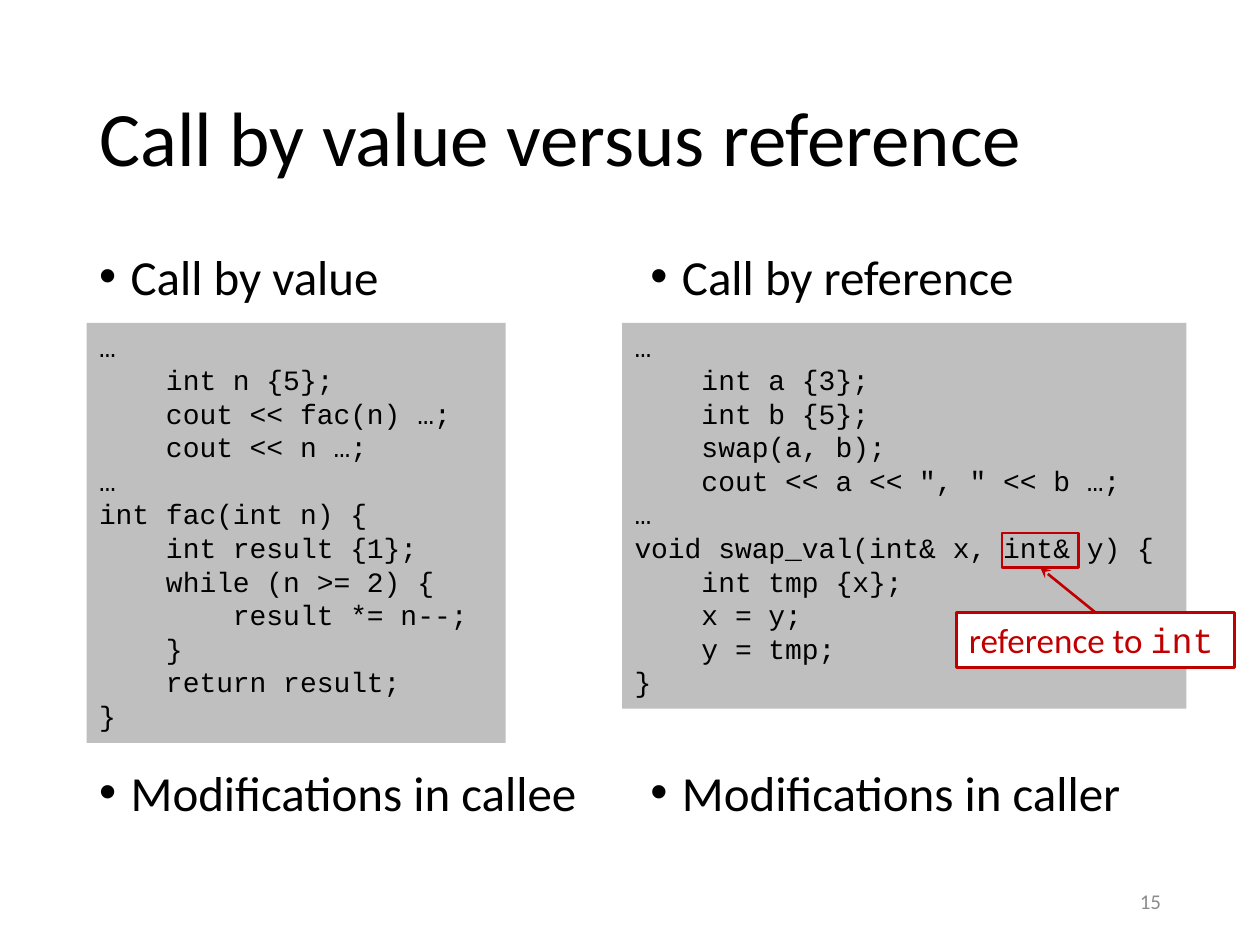
from dataclasses import dataclass

from pptx import Presentation
from pptx.dml.color import RGBColor
from pptx.enum.shapes import MSO_CONNECTOR, MSO_SHAPE
from pptx.enum.text import MSO_ANCHOR, MSO_AUTO_SIZE, PP_ALIGN
from pptx.oxml.ns import qn
from pptx.util import Pt
from lxml.etree import SubElement


@dataclass(frozen=True)
class Theme:
    ink: RGBColor = RGBColor(0x00, 0x00, 0x00)
    paper: RGBColor = RGBColor(0xFF, 0xFF, 0xFF)
    code_fill: RGBColor = RGBColor(0xBF, 0xBF, 0xBF)
    accent: RGBColor = RGBColor(0xC0, 0x00, 0x00)
    muted: RGBColor = RGBColor(0x8C, 0x8C, 0x8C)
    text_font: str = "Calibri"
    code_font: str = "Courier New"
    title_size: int = 44
    body_size: int = 28
    callout_size: int = 20
    code_size: int = 16
    number_size: int = 12
    outline: float = 1.5


@dataclass(frozen=True)
class Box:
    left: float
    top: float
    width: float
    height: float

    def points(self):
        return Pt(self.left), Pt(self.top), Pt(self.width), Pt(self.height)


THEME = Theme()

VALUE_CODE = """…
    int n {5};
    cout << fac(n) …;
    cout << n …;
…
int fac(int n) {
    int result {1};
    while (n >= 2) {
        result *= n--;
    }
    return result;
}"""

REFERENCE_CODE = """…
    int a {3};
    int b {5};
    swap(a, b);
    cout << a << ", " << b …;
…
void swap_val(int& x, int& y) {
    int tmp {x};
    x = y;
    y = tmp;
}"""


def style(font, size, color, name=THEME.text_font):
    font.name, font.size, font.color.rgb = name, Pt(size), color


def place(holder, box):
    holder.left, holder.top, holder.width, holder.height = box.points()
    holder.text_frame.auto_size = MSO_AUTO_SIZE.NONE


def add_title(slide, box, wording):
    title = slide.shapes.title
    place(title, box)
    title.text_frame.text = wording
    title.text_frame.vertical_anchor = MSO_ANCHOR.MIDDLE
    heading = title.text_frame.paragraphs[0]
    heading.alignment = PP_ALIGN.LEFT
    heading.line_spacing = 0.9
    style(heading.runs[0].font, THEME.title_size, THEME.ink)


def add_points(holder, box, points, gap):
    """Bulleted statements, with a gap between them for the code."""
    place(holder, box)
    holder.text_frame.text = "\n".join(points)
    for index, point in enumerate(holder.text_frame.paragraphs):
        point.line_spacing = 0.8
        point.space_before = Pt(gap if index else 0)
        properties = point._p.get_or_add_pPr()
        properties.set("marL", str(Pt(18)))
        properties.set("indent", str(Pt(-18)))
        SubElement(properties, qn("a:buFont")).set("typeface", "Arial")
        SubElement(properties, qn("a:buChar")).set("char", "•")
        style(point.runs[0].font, THEME.body_size, THEME.ink)


def add_panel(slide, box, fill=None, outline=None):
    panel = slide.shapes.add_shape(MSO_SHAPE.RECTANGLE, *box.points())
    panel.shadow.inherit = False
    if fill is None:
        panel.fill.background()
    else:
        panel.fill.solid()
        panel.fill.fore_color.rgb = fill
    if outline is None:
        panel.line.fill.background()
    else:
        panel.line.color.rgb = outline
        panel.line.width = Pt(THEME.outline)
    panel.text_frame.word_wrap = True
    panel.text_frame.vertical_anchor = MSO_ANCHOR.TOP
    return panel


def add_code(slide, box, code):
    listing = add_panel(slide, box, fill=THEME.code_fill)
    listing.text_frame.text = code
    for line in listing.text_frame.paragraphs:
        line.alignment = PP_ALIGN.LEFT
        style(line.runs[0].font, THEME.code_size, THEME.ink, THEME.code_font)


def add_callout(slide, box):
    """Frame around a parameter type, with its label below right."""
    frame = add_panel(slide, Box(box.left, box.top, 44, 20),
                      outline=THEME.accent)
    label = add_panel(
        slide, Box(box.left + box.width - 159, box.top + box.height - 31.5,
                   159, 31.5),
        fill=THEME.paper, outline=THEME.accent)
    wording = label.text_frame.paragraphs[0]
    wording.alignment = PP_ALIGN.LEFT
    for part, font in (("reference to ", THEME.text_font),
                       ("int", THEME.code_font)):
        run = wording.add_run()
        run.text = part
        style(run.font, THEME.callout_size, THEME.accent, font)

    arrow = slide.shapes.add_connector(MSO_CONNECTOR.STRAIGHT, 0, 0, 0, 0)
    arrow.begin_connect(label, 0)
    arrow.end_connect(frame, 2)
    arrow.line.color.rgb = THEME.accent
    arrow.line.width = Pt(THEME.outline)
    SubElement(arrow.line._get_or_add_ln(), qn("a:tailEnd")).set("type", "stealth")
    SubElement(arrow._element.spPr, qn("a:effectLst"))


def add_number(slide, box, number):
    holder = slide.shapes.add_textbox(*box.points())
    holder.text_frame.word_wrap = True
    holder.text_frame.vertical_anchor = MSO_ANCHOR.MIDDLE
    holder.text_frame.text = number
    page = holder.text_frame.paragraphs[0]
    page.alignment = PP_ALIGN.RIGHT
    style(page.runs[0].font, THEME.number_size, THEME.muted)


def main():
    deck = Presentation()
    deck.slide_width, deck.slide_height = Pt(720), Pt(540)
    slide = deck.slides.add_slide(deck.slide_layouts[3])  # two contents
    value, reference = slide.placeholders[1], slide.placeholders[2]

    add_title(slide, Box(49.5, 28.75, 621, 104.4),
              "Call by value versus reference")
    add_points(value, Box(49.5, 143.75, 306, 342.6),
               ["Call by value", "Modifications in callee"], gap=268)
    add_points(reference, Box(364.5, 143.75, 306, 342.6),
               ["Call by reference", "Modifications in caller"], gap=268)
    add_number(slide, Box(508.5, 500.5, 162, 28.75), "15")
    add_code(slide, Box(49.5, 184.5, 239.5, 240), VALUE_CODE)
    add_code(slide, Box(355.5, 184.5, 322.5, 220.5), REFERENCE_CODE)
    add_callout(slide, Box(572.5, 304.5, 133, 77), )
    deck.save("out.pptx")


if __name__ == "__main__":
    main()
